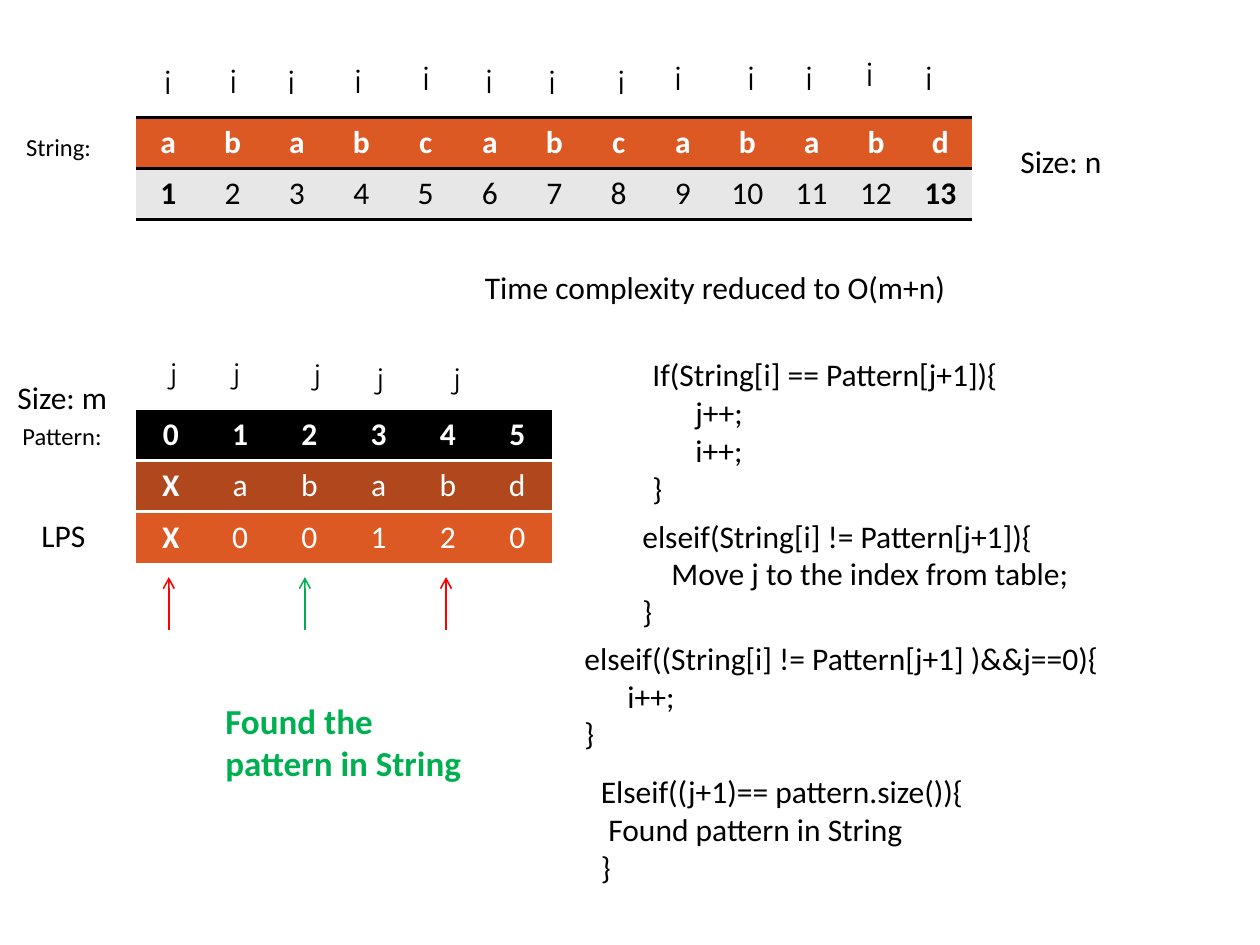
from dataclasses import dataclass

import lxml.etree
import pptx
import pptx.dml.color
import pptx.enum.shapes
import pptx.enum.text
import pptx.oxml
import pptx.oxml.ns
import pptx.util

Inches = pptx.util.Inches
Pt = pptx.util.Pt
RGBColor = pptx.dml.color.RGBColor
qn = pptx.oxml.ns.qn

BLACK = RGBColor(0x00, 0x00, 0x00)
WHITE = RGBColor(0xFF, 0xFF, 0xFF)
ORANGE = RGBColor(0xDC, 0x59, 0x24)
RUST = RGBColor(0xB0, 0x47, 0x1D)
GRAY = RGBColor(0xE7, 0xE7, 0xE7)
RED = RGBColor(0xFF, 0x00, 0x00)
GREEN = RGBColor(0x00, 0xB0, 0x50)
NO_STYLE = "{2D5ABB26-0587-4C30-8999-92F81FD0307C}"


@dataclass
class Label:
    text: str
    left: float
    top: float
    width: float
    height: float
    size: int = 18
    font: str = "Calibri"
    color: RGBColor = BLACK
    bold: bool = False
    wrap: bool = True
    indent: float = 0


@dataclass
class Row:
    cells: list[str]
    fill: RGBColor
    ink: RGBColor
    bold: set[int]
    above: RGBColor | None = None
    below: RGBColor | None = None


@dataclass
class Arrow:
    x: float
    color: RGBColor


def add_label(slide, item: Label) -> None:
    box = slide.shapes.add_textbox(
        Inches(item.left), Inches(item.top), Inches(item.width), Inches(item.height)
    )
    frame = box.text_frame
    frame.text = item.text
    frame.word_wrap = item.wrap
    frame.auto_size = pptx.enum.text.MSO_AUTO_SIZE.SHAPE_TO_FIT_TEXT
    for par in frame.paragraphs:
        font = par.runs[0].font
        font.size = Pt(item.size)
        font.name = item.font
        font.bold = item.bold
        font.color.rgb = item.color
    if item.indent:
        for par in frame.paragraphs[1:-1]:
            par._p.get_or_add_pPr().set("marL", str(Inches(item.indent)))


def add_edge(cell, tag: str, color: RGBColor, place: int) -> None:
    edge = lxml.etree.Element(qn(tag), w=str(Pt(2)))
    fill = lxml.etree.SubElement(edge, qn("a:solidFill"))
    lxml.etree.SubElement(fill, qn("a:srgbClr"), val=str(color))
    cell._tc.get_or_add_tcPr().insert(place, edge)


def add_grid(slide, top: float, width: float, height: float, rows: list[Row]) -> None:
    count = len(rows[0].cells)
    table = slide.shapes.add_table(
        len(rows), count, Inches(1.08), Inches(top), Inches(width), Inches(height)
    ).table
    table.first_row = False
    table.horz_banding = False
    table._tbl.tblPr.find(qn("a:tableStyleId")).text = NO_STYLE
    for y, row in enumerate(rows):
        for x, text in enumerate(row.cells):
            cell = table.cell(y, x)
            cell.text = text
            cell.fill.solid()
            cell.fill.fore_color.rgb = row.fill
            par = cell.text_frame.paragraphs[0]
            par.alignment = pptx.enum.text.PP_ALIGN.CENTER
            font = par.runs[0].font
            font.size = Pt(18)
            font.name = "Calibri"
            font.bold = x in row.bold
            font.color.rgb = row.ink
            edges = [("a:lnT", row.above), ("a:lnB", row.below)]
            shown = [(tag, color) for tag, color in edges if color is not None]
            for place, (tag, color) in enumerate(shown):
                add_edge(cell, tag, color, place)


def add_arrow(slide, item: Arrow) -> None:
    line = slide.shapes.add_connector(
        pptx.enum.shapes.MSO_CONNECTOR.STRAIGHT,
        Inches(item.x), Inches(5), Inches(item.x), Inches(4.58),
    )
    line.line.color.rgb = item.color
    line.line.width = Pt(0.9)
    lxml.etree.SubElement(line.line._get_or_add_ln(), qn("a:tailEnd"), type="arrow")
    lxml.etree.SubElement(line._element.spPr, qn("a:effectLst"))


MARKS_I = [
    (1.2, 0.45), (1.72, 0.44), (2.18, 0.45), (2.71, 0.44), (3.25, 0.42),
    (3.75, 0.44), (4.25, 0.45), (4.8, 0.45), (5.25, 0.42), (5.83, 0.42),
    (6.29, 0.42), (6.77, 0.39), (7.24, 0.42),
]
MARKS_J = [(1.25, 2.78), (1.75, 2.78), (2.39, 2.79), (2.89, 2.82), (3.5, 2.82)]

LABELS = [
    Label("String:", 0.11, 1, 0.85, 0.34, size=14),
    Label("Pattern:", 0.08, 3.29, 0.85, 0.34, size=14),
    Label("Size: n", 8, 1.08, 1.17, 0.4),
    Label("Size: m", 0.04, 2.95, 1.17, 0.4),
    Label("LPS", 0.23, 4.05, 0.55, 0.4, wrap=False),
    Label("Time complexity reduced to O(m+n)", 3.75, 2.08, 4.42, 0.4),
    Label("If(String[i] == Pattern[j+1]){\nj++;\ni++;\n}",
          5.08, 2.77, 3.58, 1.31, indent=0.34),
    Label("elseif(String[i] != Pattern[j+1]){\nMove j to the index from table;\n}",
          5, 4.05, 3.62, 1.01, wrap=False, indent=0.23),
    Label("elseif((String[i] != Pattern[j+1] )&&j==0){\ni++;\n}",
          4.54, 5.02, 4.55, 1.01, indent=0.34),
    Label("Elseif((j+1)== pattern.size()){\nFound pattern in String\n}",
          4.67, 6.08, 3.12, 1.31, wrap=False, indent=0.06),
    Label("Found the pattern in String", 1.69, 5.5, 2.19, 0.77,
          size=20, color=GREEN, bold=True),
]
LABELS += [Label("i", x, y, 0.29, 0.4, font="Montserrat", wrap=False) for x, y in MARKS_I]
LABELS += [
    Label("j", x, y, 0.28, 0.37, size=16, font="Montserrat", wrap=False)
    for x, y in MARKS_J
]

STRING = [
    Row(list("ababcabcababd"), ORANGE, WHITE, set(range(13)), BLACK, BLACK),
    Row([str(n) for n in range(1, 14)], GRAY, BLACK, {0, 12}, BLACK, BLACK),
]
PATTERN = [
    Row(list("012345"), BLACK, WHITE, set(range(6)), below=WHITE),
    Row(list("Xababd"), RUST, WHITE, {0}, above=WHITE),
    Row(list("X00120"), ORANGE, WHITE, {0}),
]
ARROWS = [Arrow(1.34, RED), Arrow(2.42, GREEN), Arrow(3.54, RED)]


def main() -> None:
    deck = pptx.Presentation()
    deck.slide_width = Inches(10)
    deck.slide_height = Inches(7.5)
    slide = deck.slides.add_slide(deck.slide_layouts[6])
    add_grid(slide, 0.93, 6.64, 0.81, STRING)
    add_grid(slide, 3.25, 3.3, 1.21, PATTERN)
    for item in LABELS:
        add_label(slide, item)
    for item in ARROWS:
        add_arrow(slide, item)
    deck.save("out.pptx")


if __name__ == "__main__":
    main()
